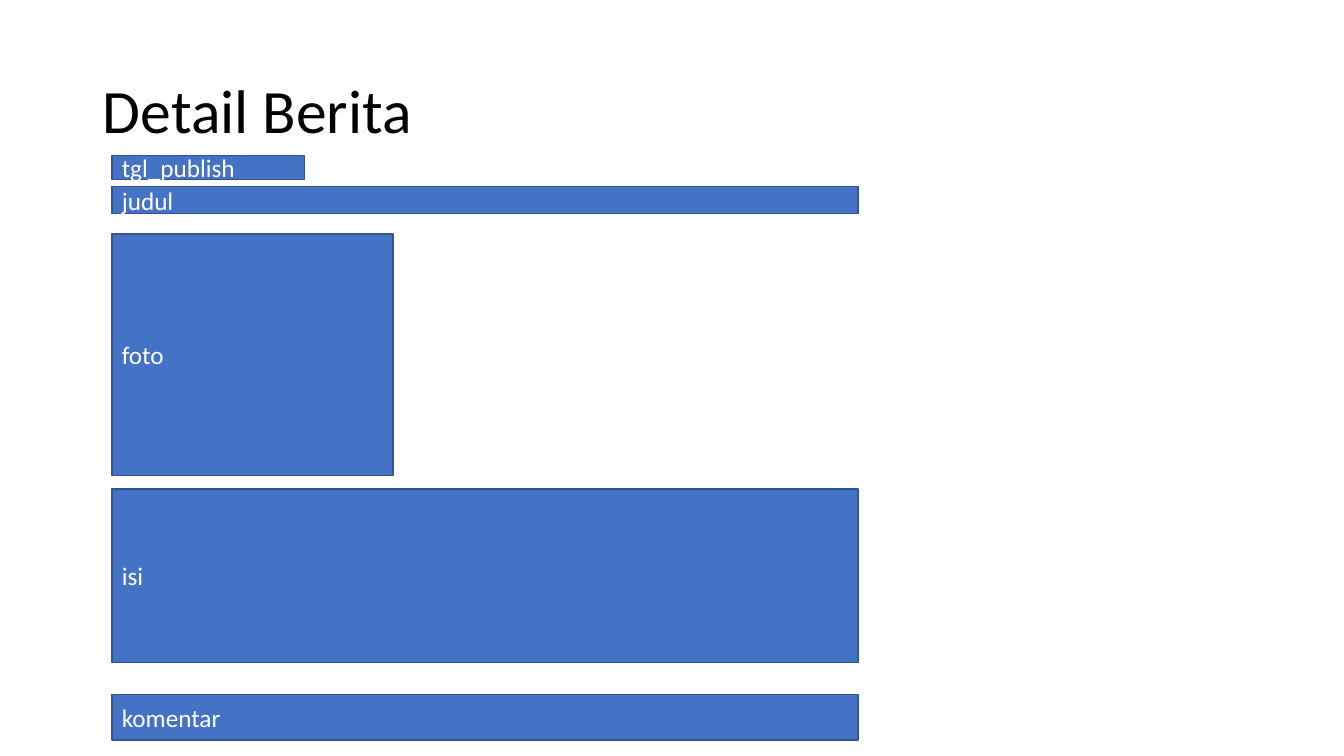
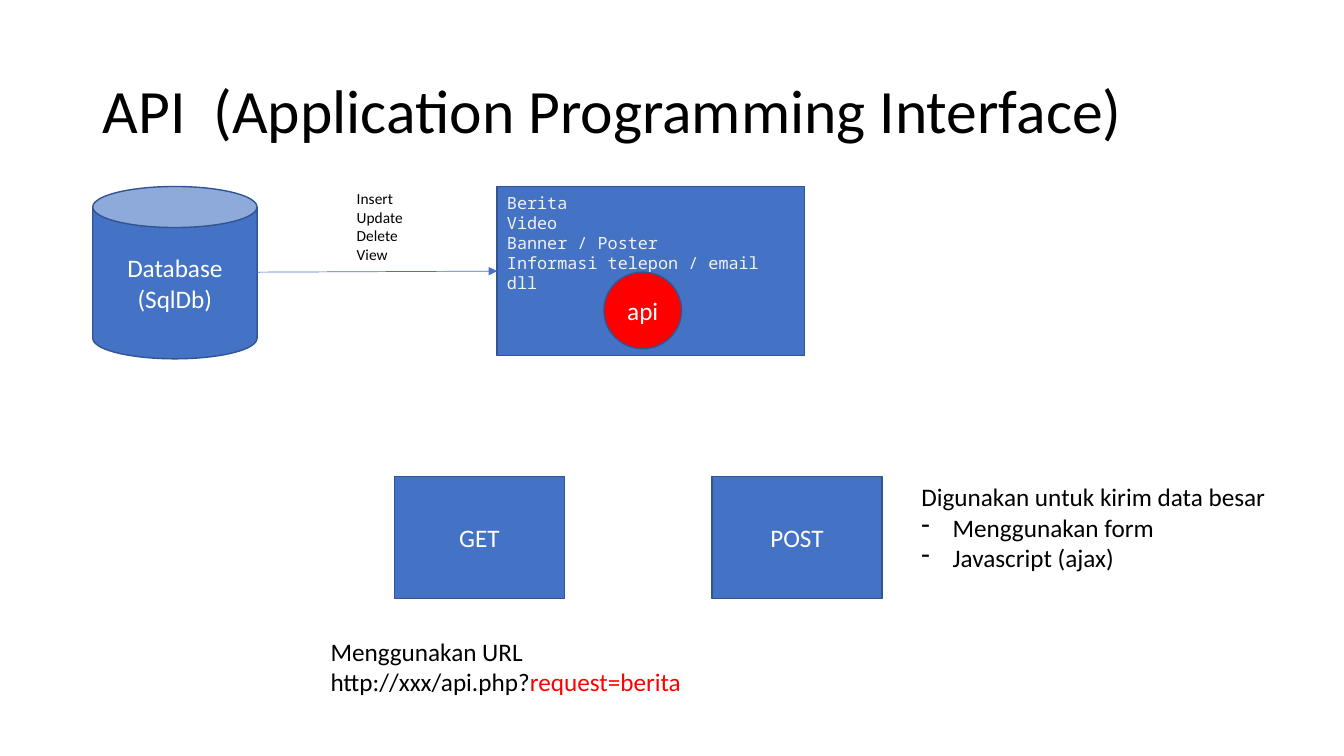
from lxml.etree import SubElement
from pptx import Presentation
from pptx.dml.color import RGBColor
from pptx.enum.shapes import MSO_CONNECTOR, MSO_SHAPE
from pptx.enum.text import MSO_ANCHOR, MSO_AUTO_SIZE, PP_ALIGN
from pptx.oxml.ns import qn
from pptx.util import Inches, Pt

BLUE = RGBColor(0x44, 0x72, 0xC4)
EDGE = RGBColor(0x32, 0x54, 0x91)
RED = RGBColor(0xFF, 0x00, 0x00)
BLACK = RGBColor(0x00, 0x00, 0x00)
WHITE = RGBColor(0xFF, 0xFF, 0xFF)
PALE = RGBColor(0xF2, 0xF2, 0xF2)


def write(tf, *lines, size=18, color=BLACK, font="Calibri",
          align=PP_ALIGN.LEFT, anchor=MSO_ANCHOR.TOP, spacing=None):
    """Fill a text frame; a line is a string or a list of (text, colour) runs."""
    tf.word_wrap = True
    tf.auto_size = MSO_AUTO_SIZE.NONE
    tf.vertical_anchor = anchor
    for i, line in enumerate(lines):
        p = tf.add_paragraph() if i else tf.paragraphs[0]
        p.alignment = align
        p.line_spacing = spacing
        for text, run_color in [(line, color)] if isinstance(line, str) else line:
            r = p.add_run()
            r.text = text
            r.font.size = Pt(size)
            r.font.name = font
            r.font.color.rgb = run_color


def add_box(s, kind, at, *lines, fill=BLUE, align=PP_ALIGN.CENTER):
    sp = s.shapes.add_shape(kind, *map(Inches, at))
    sp.shadow.inherit = False
    sp.fill.solid()
    sp.fill.fore_color.rgb = fill
    sp.line.color.rgb = EDGE
    sp.line.width = Pt(1)
    write(sp.text_frame, *lines, color=WHITE, align=align, anchor=MSO_ANCHOR.MIDDLE)
    return sp


prs = Presentation()
prs.slide_width, prs.slide_height = Inches(13.33), Inches(7.5)

# Shared title position
layout = prs.slide_layouts[5]
title = layout.placeholders[0]
title.left, title.top = Inches(0.92), Inches(0.4)
title.width, title.height = Inches(11.5), Inches(1.45)

slides = []
for heading in ("Detail Berita", "API  (Application Programming Interface)"):
    s = prs.slides.add_slide(layout)
    write(s.shapes.title.text_frame, heading, size=44,
          anchor=MSO_ANCHOR.MIDDLE, spacing=0.9)
    slides.append(s)
news, api = slides

# News detail: stacked fields
for field, top, width, height in (
    ("judul", 1.85, 7.4, 0.27),
    ("foto", 2.32, 2.79, 2.4),
    ("isi", 4.85, 7.4, 1.72),
    ("tgl_publish", 1.54, 1.91, 0.24),
    ("komentar", 6.89, 7.4, 0.45),
):
    add_box(news, MSO_SHAPE.RECTANGLE, (1.11, top, width, height), field,
            align=PP_ALIGN.LEFT)

# API: database and application
add_box(api, MSO_SHAPE.RECTANGLE, (4.93, 1.85, 3.05, 1.68))
tb = api.shapes.add_textbox(Inches(4.93), Inches(1.86), Inches(2.9), Inches(0.91))
write(tb.text_frame, "Berita", "Video", "Banner / Poster",
      "Informasi telepon / email dll", size=12, color=PALE, font="Noto Sans Mono")
add_box(api, MSO_SHAPE.CAN, (0.92, 1.85, 1.63, 1.71), "Database", "(SqlDb)")

arrow = api.shapes.add_connector(MSO_CONNECTOR.STRAIGHT, Inches(2.54), Inches(2.7),
                                 Inches(4.93), Inches(2.69))
arrow.line.color.rgb = BLUE
arrow.line.width = Pt(0.5)
SubElement(arrow.line._get_or_add_ln(), qn("a:tailEnd"), type="triangle")
SubElement(arrow._element.spPr, qn("a:effectLst"))

tb = api.shapes.add_textbox(Inches(3.44), Inches(1.83), Inches(1.17), Inches(0.84))
write(tb.text_frame, "Insert", "Update", "Delete", "View", size=11)
add_box(api, MSO_SHAPE.OVAL, (5.99, 2.7, 0.77, 0.76), "api", fill=RED)

# API: request methods
for method, left in (("GET", 3.91), ("POST", 7.06)):
    add_box(api, MSO_SHAPE.RECTANGLE, (left, 4.73, 1.69, 1.21), method)

tb = api.shapes.add_textbox(Inches(3.18), Inches(6.26), Inches(3.8), Inches(0.71))
write(tb.text_frame, "Menggunakan URL",
      [("http://xxx/api.php?", BLACK), ("request=berita", RED)])

tb = api.shapes.add_textbox(Inches(9.04), Inches(4.73), Inches(3.8), Inches(1.01))
write(tb.text_frame, "Digunakan untuk kirim data besar",
      "Menggunakan form", "Javascript (ajax)")
for p in tb.text_frame.paragraphs[1:]:
    pPr = p._p.get_or_add_pPr()
    pPr.set("marL", str(Inches(0.31)))
    pPr.set("indent", str(-Inches(0.31)))
    SubElement(pPr, qn("a:buChar"), char="-")

prs.save("out.pptx")
